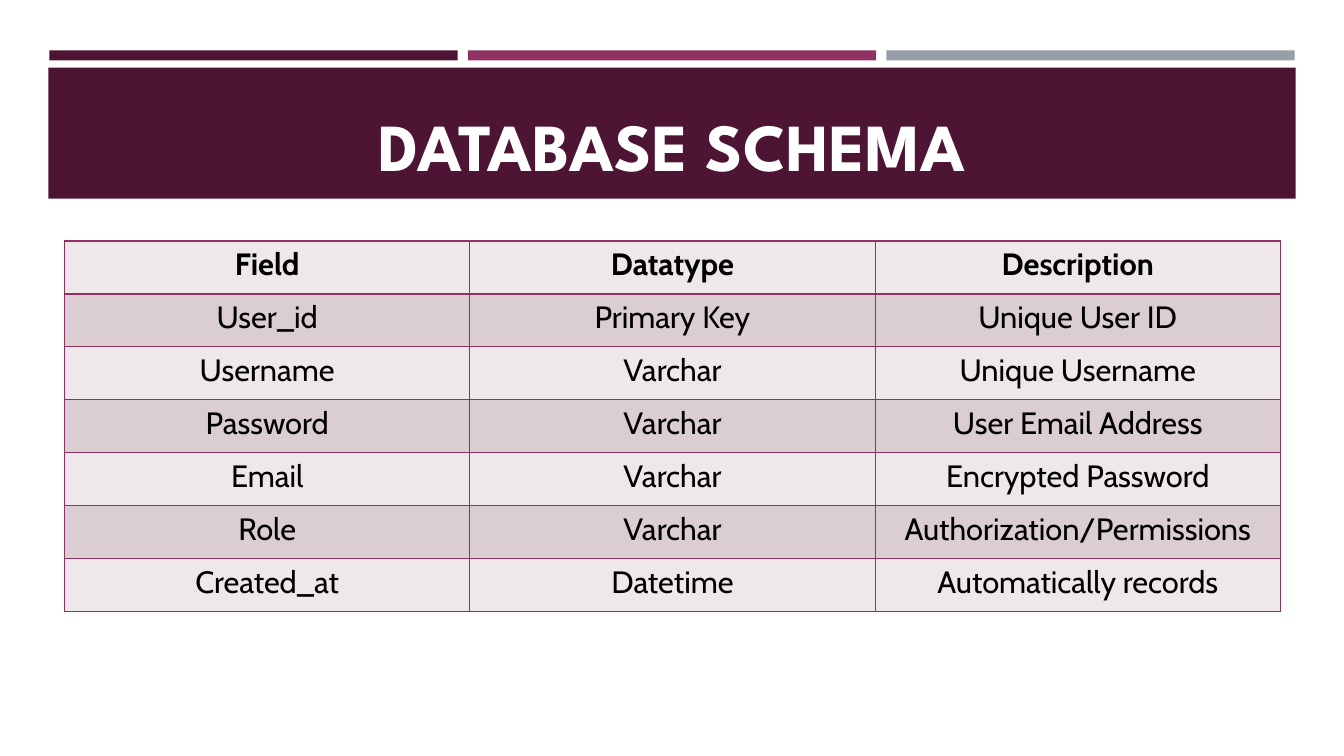
from lxml.etree import SubElement
from pptx import Presentation
from pptx.dml.color import RGBColor
from pptx.enum.shapes import MSO_SHAPE
from pptx.enum.text import MSO_ANCHOR, PP_ALIGN
from pptx.oxml.ns import qn
from pptx.util import Inches, Pt

COLORS = {
    "plum": "4D1434",
    "berry": "903163",
    "gray": "969FA7",
    "light": "EEE8EA",
    "rose": "DBCED3",
    "white": "FFFFFF",
    "black": "000000",
}
WIDTH, HEIGHT = 13.33, 7.5
MARGIN = 0.49
STRIPE_W, STRIPE_GAP = 4.05, 0.1
TABLE_X, TABLE_Y, TABLE_W = 0.64, 2.39, 12.06
ROW_H = 3.68 / 7

SCHEMA = [
    ("Field", "Datatype", "Description"),
    ("User_id", "Primary Key", "Unique User ID"),
    ("Username", "Varchar", "Unique Username"),
    ("Password", "Varchar", "User Email Address"),
    ("Email", "Varchar", "Encrypted Password"),
    ("Role", "Varchar", "Authorization/Permissions"),
    ("Created_at", "Datetime", "Automatically records"),
]


def rgb(name):
    return RGBColor.from_string(COLORS[name])


def add_bar(slide, x, y, w, h, color):
    sp = slide.shapes.add_shape(
        MSO_SHAPE.RECTANGLE, Inches(x), Inches(y), Inches(w), Inches(h))
    sp.shadow.inherit = False
    sp.fill.solid()
    sp.fill.fore_color.rgb = rgb(color)
    sp.line.fill.background()


def add_text(tf, text, size, font, color, bold):
    p = tf.paragraphs[0]
    p.alignment = PP_ALIGN.CENTER
    r = p.add_run()
    r.text = text
    r.font.size = Pt(size)
    r.font.name = font
    r.font.bold = bold
    r.font.color.rgb = rgb(color)


def add_title(slide, text):
    sp = slide.shapes.add_textbox(
        Inches(TABLE_X), Inches(0.77), Inches(TABLE_W), Inches(1.11))
    tf = sp.text_frame
    tf.word_wrap = True
    tf.vertical_anchor = MSO_ANCHOR.BOTTOM
    add_text(tf, text, 48, "League Spartan", "white", True)


def add_borders(cell, color):
    tc_pr = cell._tc.get_or_add_tcPr()
    for side in ("a:lnL", "a:lnR", "a:lnT", "a:lnB"):
        ln = SubElement(tc_pr, qn(side), w=str(Pt(1)))
        fill = SubElement(ln, qn("a:solidFill"))
        SubElement(fill, qn("a:srgbClr"), val=COLORS[color])


def add_schema_table(slide, rows):
    columns = len(rows[0])
    table = slide.shapes.add_table(
        len(rows), columns, Inches(TABLE_X), Inches(TABLE_Y),
        Inches(TABLE_W), Inches(ROW_H * len(rows))).table
    for column in table.columns:
        column.width = Inches(TABLE_W / columns)
    for i, row in enumerate(rows):
        table.rows[i].height = Inches(ROW_H)
        for j, text in enumerate(row):
            cell = table.cell(i, j)
            cell.margin_left = cell.margin_right = Inches(0.11)
            cell.margin_top = cell.margin_bottom = Inches(0.05)
            add_borders(cell, "berry")
            cell.fill.solid()
            cell.fill.fore_color.rgb = rgb("rose" if i % 2 else "light")
            add_text(cell.text_frame, text, 22, "Cabin", "black", i == 0)


def main():
    prs = Presentation()
    prs.slide_width, prs.slide_height = Inches(WIDTH), Inches(HEIGHT)
    slide = prs.slides.add_slide(prs.slide_layouts[6])
    for i, color in enumerate(("plum", "berry", "gray")):
        x = MARGIN + i * (STRIPE_W + STRIPE_GAP)
        add_bar(slide, x, 0.5, STRIPE_W, 0.1, color)
    add_bar(slide, 0.48, 0.67, 12.37, 1.3, "plum")
    add_title(slide, "DATABASE SCHEMA")
    add_schema_table(slide, SCHEMA)
    prs.save("out.pptx")


if __name__ == "__main__":
    main()
